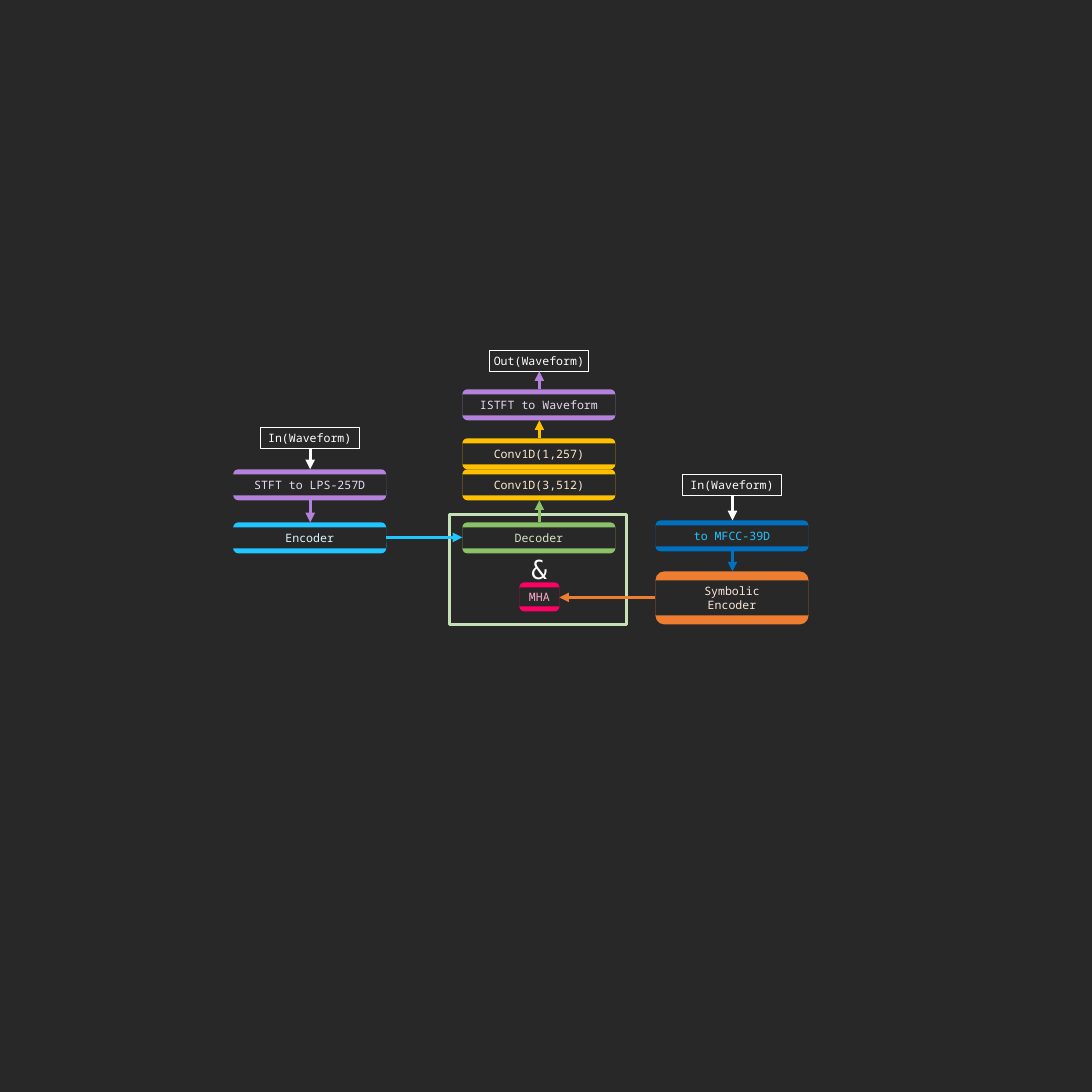
from pptx import Presentation
from pptx import util as u
from pptx.dml.color import RGBColor
from pptx.enum import shapes, text
from pptx.oxml.ns import qn
from lxml import etree

PX = u.Inches(1) / 46.2
COLORS = {
    "dark": "282828", "white": "FFFFFF", "frame": "C5E0B4",
    "cyan": "21C5FF", "pale_cyan": "D9F5FF",
    "green": "8BC167", "pale_green": "D2E6C4",
    "yellow": "FFC000", "pale_yellow": "FFEBCD",
    "purple": "B482DA", "pale_purple": "EADBF5",
    "pink": "FF0066", "pale_pink": "FFABCD",
    "orange": "ED7D31", "pale_orange": "FBE5D6",
    "blue": "0070C0",
}
RECT = shapes.MSO_SHAPE.RECTANGLE
ROUNDED = shapes.MSO_SHAPE.ROUNDED_RECTANGLE

deck = Presentation()
deck.slide_width = deck.slide_height = u.Inches(23.62)
page = deck.slides.add_slide(deck.slide_layouts[6])
page.background.fill.solid()
page.background.fill.fore_color.rgb = RGBColor.from_string(COLORS["dark"])


def add_box(kind, area, fill="dark", line=None, width=2):
    """Add a filled shape; area is left, top, width, height in pixels."""
    box = page.shapes.add_shape(kind, *[round(v * PX) for v in area])
    box.shadow.inherit = False
    box.fill.solid()
    box.fill.fore_color.rgb = RGBColor.from_string(COLORS[fill])
    if line:
        box.line.color.rgb = RGBColor.from_string(COLORS[line])
        box.line.width = u.Pt(width)
    else:
        box.line.fill.background()
    return box


def write(box, words, color="white", size=18, font="Noto Sans Mono", wrap=True):
    """Write centred text, one paragraph for each line of words."""
    frame = box.text_frame
    frame.word_wrap = wrap
    frame.vertical_anchor = text.MSO_ANCHOR.MIDDLE
    frame.margin_left = frame.margin_right = 0
    frame.margin_top = frame.margin_bottom = 0
    frame.text = words
    for para in frame.paragraphs:
        para.alignment = text.PP_ALIGN.CENTER
        for span in para.runs:
            span.font.name = font
            span.font.size = u.Pt(size)
            span.font.color.rgb = RGBColor.from_string(COLORS[color])


# Frame around the decoder and its attention
add_box(RECT, (449, 514, 177, 110), line="frame", width=4)

# Layers: a coloured rounded band with a dark label panel across it
LEFT, MIDDLE, RIGHT = 233, 462, 655
WIDE, TALL, EDGE = 153, 31, 5
layers = [
    ("Encoder", LEFT, 522, WIDE, TALL, EDGE, "cyan", "pale_cyan"),
    ("Decoder", MIDDLE, 522, WIDE, TALL, EDGE, "green", "pale_green"),
    ("Conv1D(3,512)", MIDDLE, 469, WIDE, TALL, EDGE, "yellow", "pale_yellow"),
    ("Conv1D(1,257)", MIDDLE, 438, WIDE, TALL, EDGE, "yellow", "pale_yellow"),
    ("STFT to LPS-257D", LEFT, 469, WIDE, TALL, EDGE, "purple", "pale_purple"),
    ("ISTFT to Waveform", MIDDLE, 389, WIDE, TALL, EDGE, "purple", "pale_purple"),
    ("MHA", 519, 582, 40, 29, EDGE, "pink", "pale_pink"),
    ("Symbolic\nEncoder", RIGHT, 571, WIDE, 53, 9, "orange", "pale_orange"),
    ("to MFCC-39D", RIGHT, 520, WIDE, TALL, EDGE, "blue", "cyan"),
]
for words, left, top, width, height, edge, band, ink in layers:
    add_box(ROUNDED, (left, top, width, height), fill=band)
    panel = add_box(RECT, (left, top + edge, width, height - 2 * edge))
    write(panel, words, color=ink)

# Waveforms going in and out, centred over their columns
for words, column, top in [("Out(Waveform)", MIDDLE, 350),
                           ("In(Waveform)", LEFT, 427),
                           ("In(Waveform)", RIGHT, 474)]:
    write(add_box(RECT, (column + 27, top, 99, 21), line="white"), words)

# Arrows take the colour of the layer they leave
arrows = [
    ("cyan", 386, 537, 462, 537),
    ("green", 539, 522, 539, 500),
    ("yellow", 539, 438, 539, 420),
    ("purple", 539, 389, 539, 371),
    ("white", 310, 448, 310, 469),
    ("purple", 310, 500, 310, 522),
    ("white", 732, 495, 732, 520),
    ("blue", 732, 551, 732, 571),
    ("orange", 655, 597, 559, 597),
]
for color, *ends in arrows:
    arrow = page.shapes.add_connector(
        shapes.MSO_CONNECTOR.STRAIGHT, *[round(v * PX) for v in ends])
    arrow.line.color.rgb = RGBColor.from_string(COLORS[color])
    arrow.line.width = u.Pt(5)
    etree.SubElement(arrow.line._get_or_add_ln(), qn("a:tailEnd"), type="triangle")
    etree.SubElement(arrow._element.spPr, qn("a:effectLst"))

ampersand = page.shapes.add_textbox(*[round(v * PX) for v in (527, 551, 24, 36)])
write(ampersand, "&", size=40.8, font="DejaVu Sans Mono", wrap=False)

deck.save("out.pptx")
